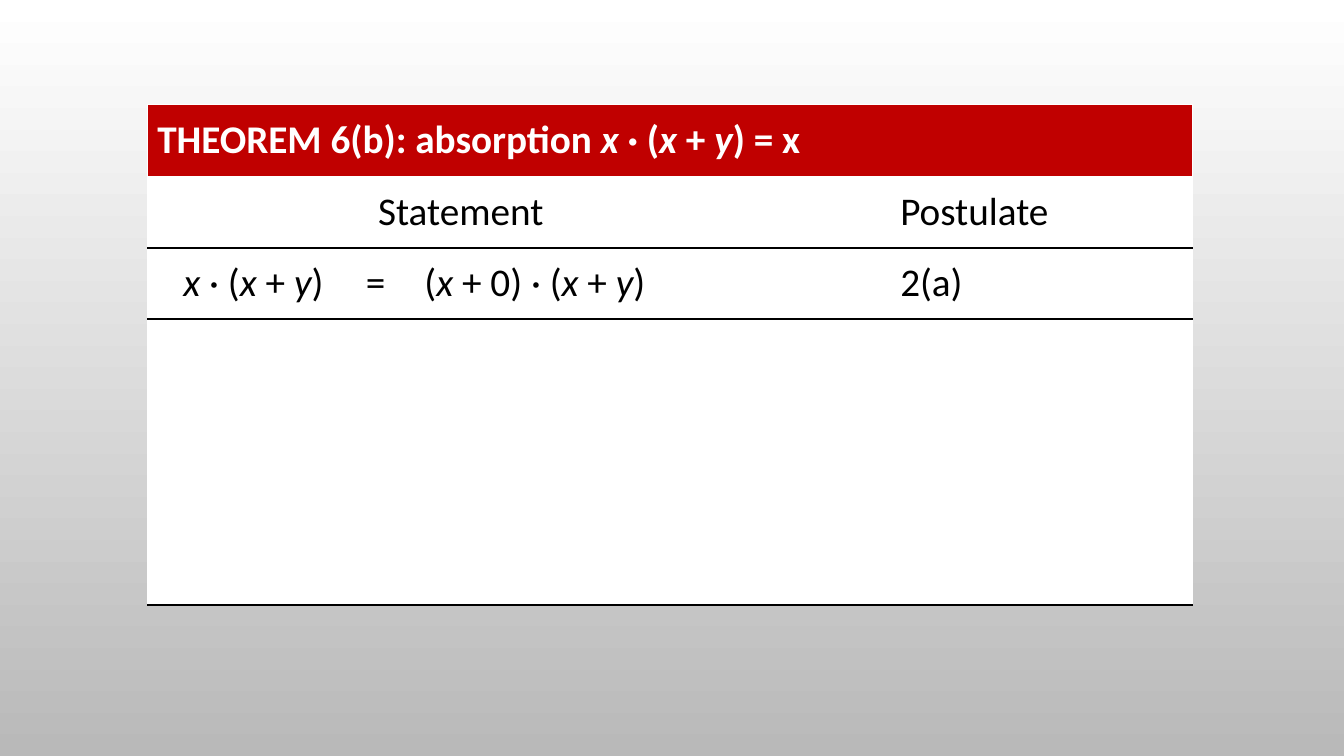
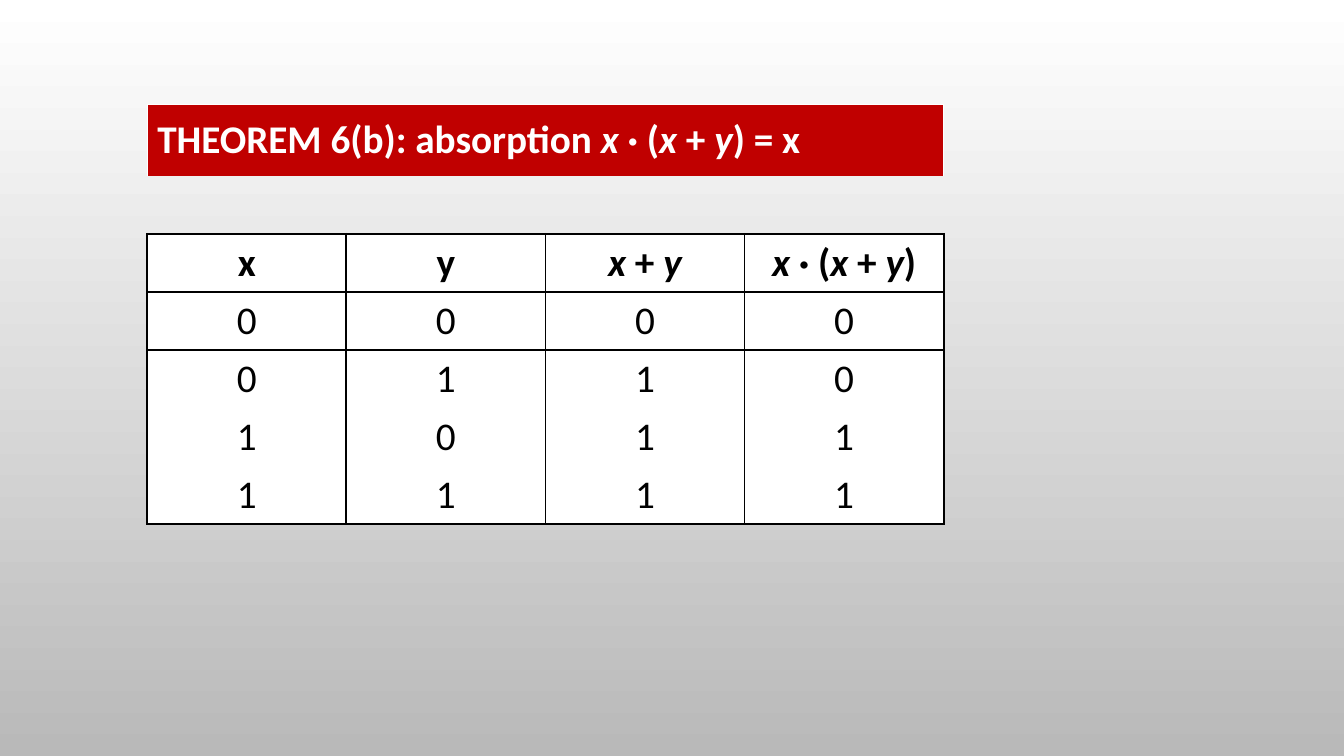
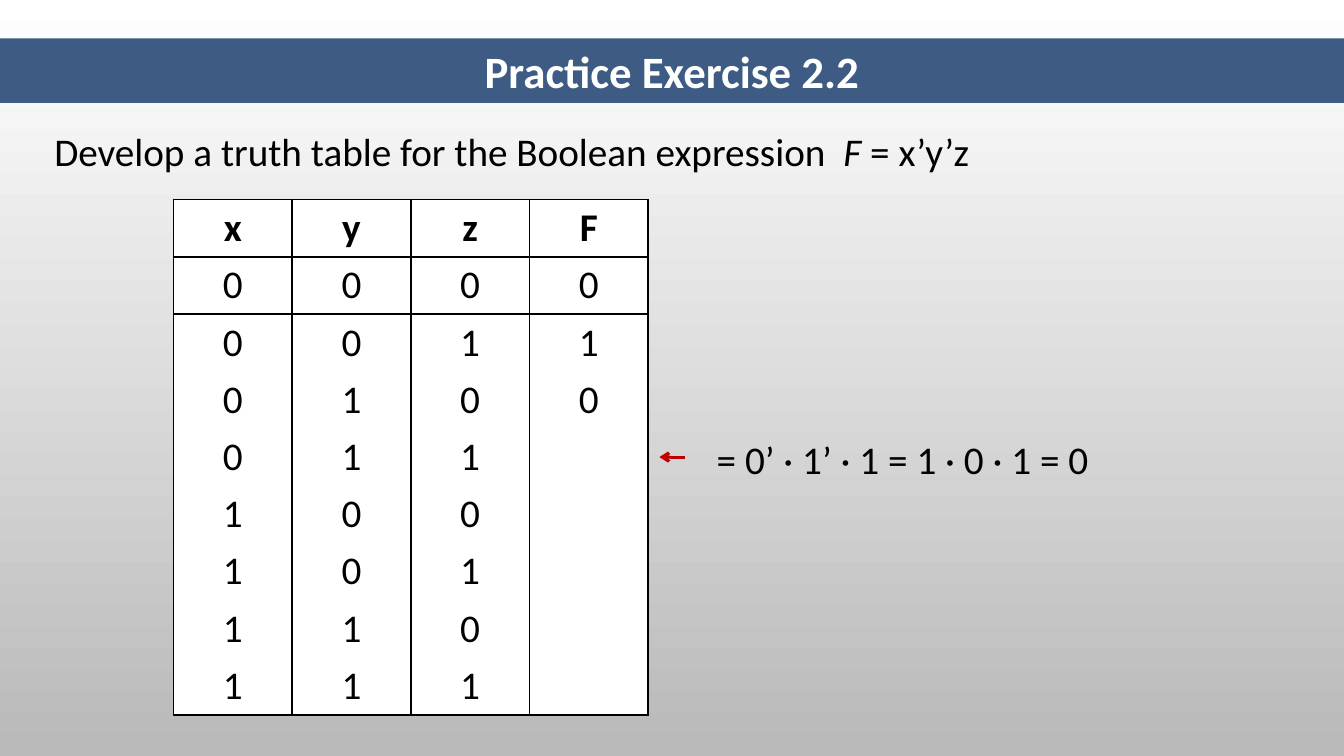
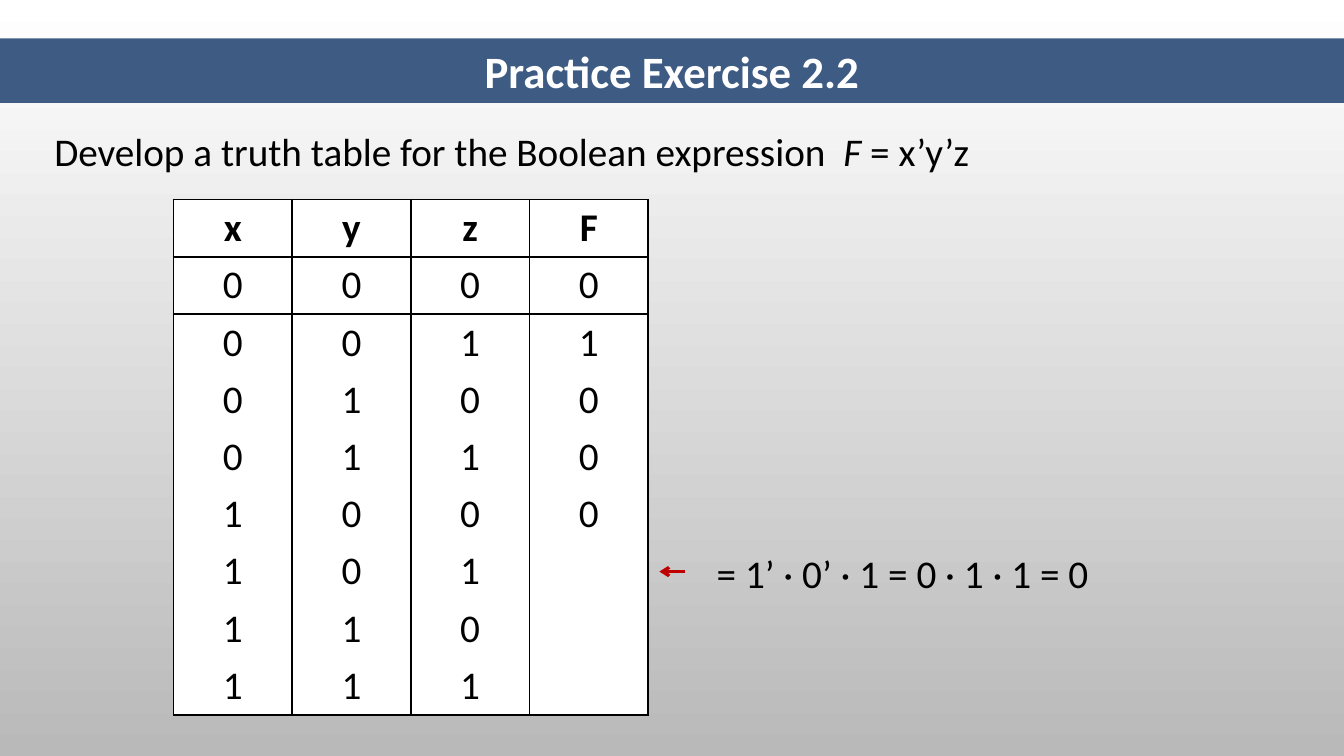
from itertools import product

from lxml import etree
from pptx import Presentation
from pptx.dml.color import RGBColor
from pptx.enum.shapes import MSO_CONNECTOR
from pptx.enum.text import MSO_ANCHOR, MSO_AUTO_SIZE, PP_ALIGN
from pptx.oxml import parse_xml
from pptx.oxml.ns import nsdecls, qn
from pptx.util import Inches, Pt

LEFT, CENTER = PP_ALIGN.LEFT, PP_ALIGN.CENTER
MIDDLE = MSO_ANCHOR.MIDDLE
FIXED = MSO_AUTO_SIZE.NONE
STRAIGHT = MSO_CONNECTOR.STRAIGHT

WHITE, GRAY, BLACK = "FFFFFF", "B9B9B9", "000000"
RED, BLUE = "C00000", "3E5C83"
PLAIN = "{2D5ABB26-0587-4C30-8999-92F81FD0307C}"
BODY = {"name": "Calibri", "size": Pt(28), "bold": False}
HEAD = {**BODY, "bold": True}
TITLE = {**HEAD, "size": Pt(32)}
THEOREM = "THEOREM 6(b): absorption *x* · (*x* + *y*) = x"
WIDE, TALL = 13.33, 7.5


def paint(color, value):
    """Set a colour from a hex string."""
    color.rgb = RGBColor.from_string(value)


def fill(thing, value):
    """Give a shape, cell or line a solid fill."""
    thing.fill.solid()
    paint(thing.fill.fore_color, value)


def write(frame, text, form=BODY, color=BLACK, align=LEFT):
    """Write one paragraph, with the parts between stars in italics."""
    para = frame.paragraphs[0]
    para.alignment = align
    for index, part in enumerate(text.split("*")):
        if part:
            run = para.add_run()
            run.text = part
            for key, value in {**form, "italic": index % 2 == 1}.items():
                setattr(run.font, key, value)
            paint(run.font.color, color)


def border(cell, sides, color, width):
    """Draw the sides of a cell named by L, R, T and B."""
    props = cell._tc.get_or_add_tcPr()
    for side in "LRTB":
        if side in sides:
            props.append(parse_xml(
                f'<a:ln{side} {nsdecls("a")} w="{Pt(width)}"><a:solidFill>'
                f'<a:srgbClr val="{color}"/></a:solidFill></a:ln{side}>'))


def put(cell, text, sides="", form=BODY, align=LEFT):
    """Fill a white cell with text and black borders."""
    border(cell, sides, BLACK, 1.5)
    fill(cell, WHITE)
    cell.vertical_anchor = MIDDLE
    cell.margin_top = cell.margin_bottom = Inches(0.04)
    write(cell.text_frame, text, form, align=align)


def banner(cell):
    """Make a cell the red heading of the theorem."""
    border(cell, "LRT", WHITE, 1)
    fill(cell, RED)
    cell.vertical_anchor = MIDDLE
    write(cell.text_frame, THEOREM, HEAD, WHITE)


def grid(slide, left, top, widths, height, count):
    """Add a table without style and with equal rows."""
    box = [Inches(v) for v in (left, top, sum(widths), height)]
    table = slide.shapes.add_table(count, len(widths), *box).table
    table.first_row = table.horz_banding = False
    table._tbl.tblPr.find(qn("a:tableStyleId")).text = PLAIN
    for col, width in zip(table.columns, widths):
        col.width = Inches(width)
    for row in table.rows:
        row.height = Inches(height / count)
    return table


def truth(slide, left, top, width, height, rows):
    """Add a truth table whose first row is the heading."""
    cols = len(rows[0])
    table = grid(slide, left, top, [width / cols] * cols, height, len(rows))
    for r, row in enumerate(rows):
        sides = {0: "LRTB", 1: "LRT", len(rows) - 1: "LRB"}.get(r, "LR")
        for c, text in enumerate(row):
            put(table.cell(r, c), text, sides, BODY if r else HEAD, CENTER)


def label(slide, text, left, top, width, wrap=True):
    """Add a text box of one line."""
    box = [Inches(v) for v in (left, top, width, 0.57)]
    frame = slide.shapes.add_textbox(*box).text_frame
    frame.word_wrap = wrap
    write(frame, text)


def band(slide, text):
    """Turn the title placeholder into a blue band."""
    title = slide.shapes.title
    place = {"left": 0, "top": 0.38, "width": WIDE, "height": 0.64}
    for key, value in place.items():
        setattr(title, key, Inches(value))
    fill(title, BLUE)
    title.text_frame.auto_size = FIXED
    title.text_frame.vertical_anchor = MIDDLE
    write(title.text_frame, text, TITLE, WHITE, CENTER)


def arrow(slide, start, end, y):
    """Draw a level red arrow."""
    ends = [Inches(v) for v in (start, y, end, y)]
    link = slide.shapes.add_connector(STRAIGHT, *ends)
    paint(link.line.color, RED)
    link.line.width = Pt(2.25)
    etree.SubElement(link.line._get_or_add_ln(), qn("a:tailEnd"), type="arrow")
    etree.SubElement(link._element.spPr, qn("a:effectLst"))


def proof(slide):
    """Build the table of proof steps."""
    steps = [
        ["Statement", "", "", "", "Postulate"],
        ["*x* · (*x* + *y*)", "=", "(*x* + 0) · (*x* + *y*)", "", "2(a)"],
    ] + [[""] * 5] * 4
    table = grid(slide, 1.46, 1.04, [2.07, 0.58, 3.57, 1.15, 3], 4.96, 7)
    for r, row in enumerate(steps, 1):
        sides = {1: "B", 2: "T", 6: "B"}.get(r, "")
        for c, text in enumerate(row):
            align = CENTER if text == "Statement" else LEFT
            put(table.cell(r, c), text, sides, align=align)
    banner(table.cell(0, 0))
    table.cell(0, 0).merge(table.cell(0, 4))
    table.cell(1, 0).merge(table.cell(1, 2))
    table.cell(2, 0).margin_left = Inches(0.36)


def check(slide):
    """Build the truth table of the theorem."""
    banner(grid(slide, 1.46, 1.04, [7.9], 0.71, 1).cell(0, 0))
    rows = [["x", "y", "*x* + *y*", "*x* · (*x* + *y*)"]]
    for x, y in product((0, 1), repeat=2):
        rows.append([str(v) for v in (x, y, x | y, x & (x | y))])
    truth(slide, 1.46, 2.32, 7.9, 2.88, rows)


def drill(slide, solved, work):
    """Build the exercise with some rows solved and the next worked out."""
    band(slide, "Practice Exercise 2.2")
    label(slide, "Develop a truth table for the Boolean expression  *F* = x’y’z",
          0.44, 1.21, 11.97)
    rows = [list("xyzF")]
    for index, bits in enumerate(product("01", repeat=3)):
        value = str(int(bits == ("0", "0", "1")))
        rows.append([*bits, value if index < solved else ""])
    top, height = 1.98, 5.11
    truth(slide, 1.72, top, 4.71, height, rows)
    y = top + height / len(rows) * (solved + 1.5)
    arrow(slide, 6.79, 6.54, y)
    label(slide, work, 7.01, y - 0.27, 4.54, False)


def main():
    """Build the four slides and save them."""
    deck = Presentation()
    deck.slide_width, deck.slide_height = Inches(WIDE), Inches(TALL)
    shade = deck.slide_master.background.fill
    shade.gradient()
    shade.gradient_angle = 270
    for stop, value in zip(shade.gradient_stops, (WHITE, GRAY)):
        paint(stop.color, value)
    titled, blank = deck.slide_layouts[5], deck.slide_layouts[6]
    proof(deck.slides.add_slide(blank))
    check(deck.slides.add_slide(blank))
    for solved, work in ((3, "= 0’ · 1’ · 1 = 1 · 0 · 1 = 0"),
                         (5, "= 1’ · 0’ · 1 = 0 · 1 · 1 = 0")):
        drill(deck.slides.add_slide(titled), solved, work)
    deck.save("out.pptx")


if __name__ == "__main__":
    main()
